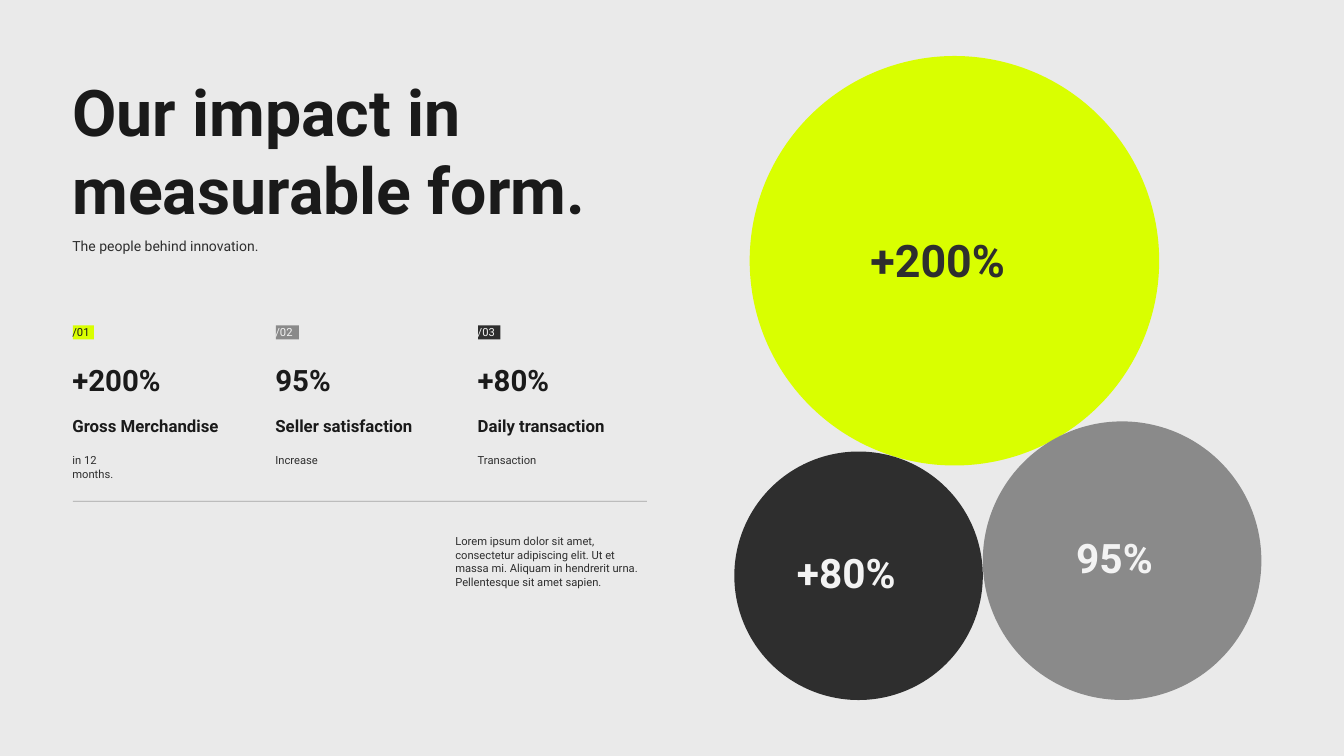
from dataclasses import dataclass

from lxml import etree
from pptx import Presentation
from pptx.dml.color import RGBColor
from pptx.enum.shapes import MSO_CONNECTOR, MSO_SHAPE
from pptx.enum.text import MSO_AUTO_SIZE
from pptx.oxml.ns import qn
from pptx.util import Emu, Pt

RECT, OVAL = MSO_SHAPE.RECTANGLE, MSO_SHAPE.OVAL
LINE = MSO_CONNECTOR.STRAIGHT
GROW = MSO_AUTO_SIZE.SHAPE_TO_FIT_TEXT
SCALE = 9525  # EMU in one px
PAD = 10  # from the edge of a text box to its text


@dataclass(frozen=True)
class Theme:
    font: str = "Roboto"
    page: str = "EAEAEA"
    ink: str = "1A1A1A"
    dark: str = "2E2E2E"
    gray: str = "8A8A8A"
    pale: str = "F3F3F3"
    lime: str = "D9FF00"
    rule: str = "000000"
    title: float = 69
    lead: float = 15
    value: float = 31.5
    label: float = 18
    small: float = 12
    large: float = 48
    mid: float = 43.5


T = Theme()

# left, tag (text, width, fill, colour), then (text, box width) by row
STATS = [
    (94, ("/01", 30, T.lime, T.ink),
     [("+200%", 182), ("Gross Merchandise", 246), ("in 12 months.", 78)]),
    (384, ("/02", 33, T.gray, T.pale),
     [("95%", 115), ("Seller satisfaction", 234), ("Increase", 85)]),
    (673, ("/03", 32, T.dark, T.pale),
     [("+80%", 147), ("Daily transaction", 217), ("Transaction", 108)]),
]

# top, height, size, colour, bold
ROWS = [
    (513, 62, T.value, T.ink, True),
    (589, 38, T.label, T.ink, True),
    (643, 30, T.small, T.dark, False),
]

# circle (left, top, width), fill, text, text box, size, colour
CIRCLES = [
    ((1071, 80, 585), T.lime, "+200%", (1234, 327, 269, 90), T.large, T.dark),
    ((1404, 602, 398), T.gray, "95%", (1528, 756, 151, 83), T.mid, T.pale),
    ((1049, 645, 355), T.dark, "+80%", (1129, 778, 196, 83), T.mid, T.pale),
]


def px(*nums):
    return [Emu(n * SCALE) for n in nums]


def rgb(code):
    return RGBColor.from_string(code)


def add_text(slide, box, lines, size, color, bold=False):
    """Add a text box with one paragraph for each line."""
    frame = slide.shapes.add_textbox(*px(*box)).text_frame
    frame.word_wrap = True
    frame.auto_size = GROW
    style = {"name": T.font, "size": Pt(size), "bold": bold}
    for i, line in enumerate(lines):
        para = frame.paragraphs[0] if i == 0 else frame.add_paragraph()
        run = para.add_run()
        run.text = line
        for key, val in style.items():
            setattr(run.font, key, val)
        run.font.color.rgb = rgb(color)


def add_shape(slide, kind, box, fill):
    shape = slide.shapes.add_shape(kind, *px(*box))
    shape.shadow.inherit = False
    shape.fill.solid()
    shape.fill.fore_color.rgb = rgb(fill)
    shape.line.fill.background()


def add_rule(slide, left, right, top):
    """Add a thin level line at 30% opacity."""
    rule = slide.shapes.add_connector(LINE, *px(left, top, right, top))
    rule.line.width = Pt(0.75)
    rule.line.color.rgb = rgb(T.rule)
    props = rule.element.spPr
    color = props.find(".//" + qn("a:srgbClr"))
    etree.SubElement(color, qn("a:alpha")).set("val", "30000")
    etree.SubElement(props, qn("a:effectLst"))


def add_stat(slide, left, tag, cells):
    text, width, fill, color = tag
    add_shape(slide, RECT, (left + PAD, 465, width, 20), fill)
    add_text(slide, (left, 460, width + 14, 30), [text], T.small, color)
    for (line, wide), (top, high, *style) in zip(cells, ROWS):
        add_text(slide, (left, top, wide, high), [line], *style)


def add_circles(slide):
    for (left, top, wide), fill, *_ in CIRCLES:
        add_shape(slide, OVAL, (left, top, wide, wide), fill)
    for _, _, text, box, size, color in CIRCLES:
        add_text(slide, box, [text], size, color, True)


def main():
    deck = Presentation()
    deck.slide_width, deck.slide_height = px(1920, 1080)
    slide = deck.slides.add_slide(deck.slide_layouts[6])
    slide.background.fill.solid()
    slide.background.fill.fore_color.rgb = rgb(T.page)

    add_text(slide, (94, 335, 307, 34), ["The people behind innovation."],
             T.lead, T.dark)
    for stat in STATS:
        add_stat(slide, *stat)
    add_rule(slide, 104, 924, 716)
    add_circles(slide)
    add_text(slide, (641, 759, 326, 87), [
        "Lorem ipsum dolor sit amet,",
        "consectetur adipiscing elit. Ut et",
        "massa mi. Aliquam in hendrerit urna.",
        "Pellentesque sit amet sapien.",
    ], T.small, T.dark)
    add_text(slide, (94, 99, 849, 232), ["Our impact in", "measurable form."],
             T.title, T.ink, True)
    deck.save("out.pptx")


if __name__ == "__main__":
    main()
